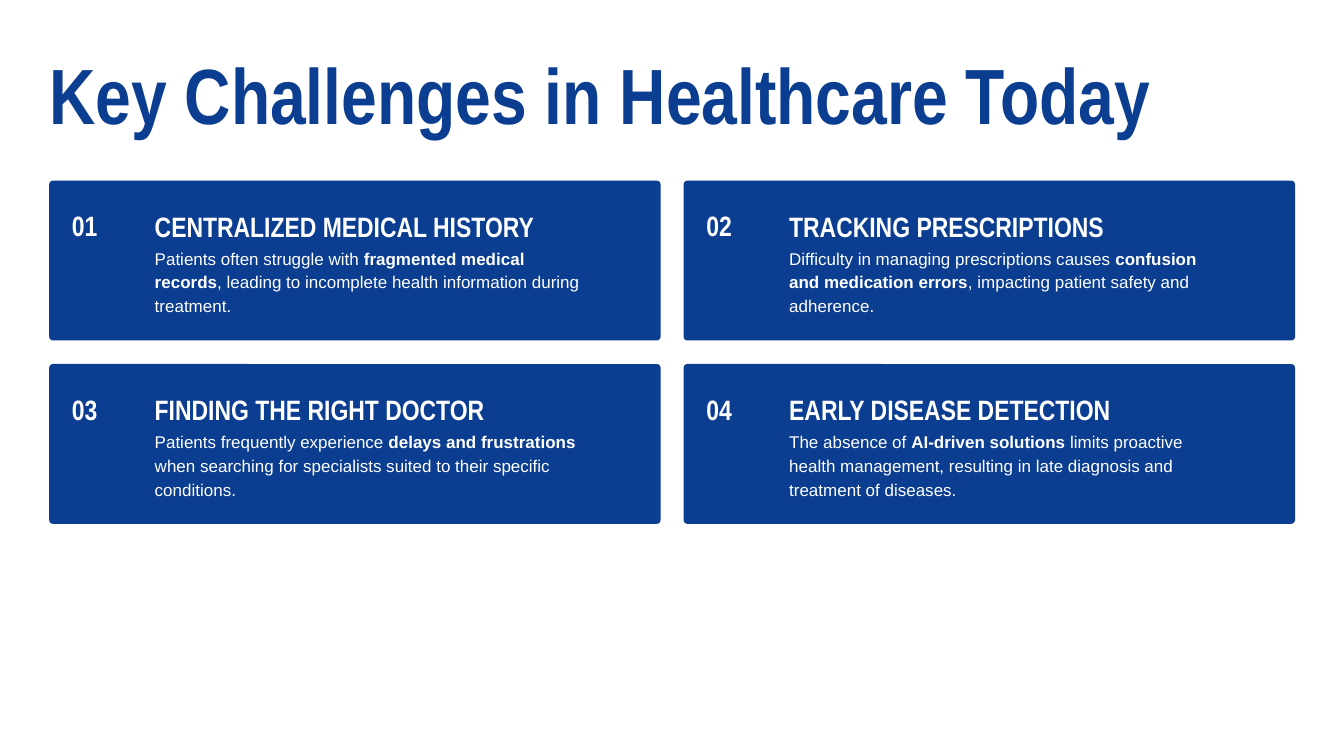
import dataclasses

import pptx
import pptx.dml.color
import pptx.enum.shapes
import pptx.enum.text
import pptx.slide
import pptx.text.text
import pptx.util
from pptx.util import Cm


@dataclasses.dataclass(frozen=True)
class TextStyle:
    font: str
    size: float
    line_height: float
    color: str
    bold: bool


@dataclasses.dataclass(frozen=True)
class Theme:
    blue: str = "0B3D91"
    title: TextStyle = TextStyle("Arial Narrow", 83.9, 83.9, "0B3D91", True)
    heading: TextStyle = TextStyle("Arial Narrow", 30, 42, "FFFFFF", True)
    body: TextStyle = TextStyle("Arial", 18.2, 25.5, "FFFFFF", False)


@dataclasses.dataclass(frozen=True)
class Challenge:
    heading: str
    before: str
    emphasis: str
    after: str


THEME = Theme()

CHALLENGES = [
    Challenge("CENTRALIZED MEDICAL HISTORY", "Patients often struggle with ",
              "fragmented medical records",
              ", leading to incomplete health information during treatment."),
    Challenge("TRACKING PRESCRIPTIONS", "Difficulty in managing prescriptions causes ",
              "confusion and medication errors",
              ", impacting patient safety and adherence."),
    Challenge("FINDING THE RIGHT DOCTOR", "Patients frequently experience ",
              "delays and frustrations",
              " when searching for specialists suited to their specific conditions."),
    Challenge("EARLY DISEASE DETECTION", "The absence of ", "AI-driven solutions",
              " limits proactive health management, resulting in late diagnosis"
              " and treatment of diseases."),
]

# Card grid, in centimetres
COLUMNS = 2
GRID_LEFT, GRID_TOP = 1.86, 6.83
CARD_WIDTH, CARD_HEIGHT = 23.11, 6.04
COLUMN_STEP, ROW_STEP = 23.98, 6.93
CORNER_RADIUS = 0.14
TEXT_INDENT, TEXT_WIDTH = 3.99, 16.59


def format_text(frame: pptx.text.text.TextFrame, style: TextStyle) -> None:
    """Remove the margins and style the single paragraph of a frame."""
    frame.margin_left = frame.margin_top = frame.margin_right = frame.margin_bottom = 0
    frame.word_wrap = True
    frame.auto_size = pptx.enum.text.MSO_AUTO_SIZE.NONE
    frame.vertical_anchor = pptx.enum.text.MSO_ANCHOR.TOP
    paragraph = frame.paragraphs[0]
    paragraph.alignment = pptx.enum.text.PP_ALIGN.LEFT
    paragraph.line_spacing = pptx.util.Pt(style.line_height)
    paragraph.font.name = style.font
    paragraph.font.size = pptx.util.Pt(style.size)
    paragraph.font.bold = style.bold
    paragraph.font.color.rgb = pptx.dml.color.RGBColor.from_string(style.color)


def add_text(slide: pptx.slide.Slide, left: float, top: float, width: float,
             height: float, style: TextStyle, *parts: str) -> pptx.text.text._Paragraph:
    """Add a text box with one run for each part."""
    box = slide.shapes.add_textbox(Cm(left), Cm(top), Cm(width), Cm(height))
    format_text(box.text_frame, style)
    paragraph = box.text_frame.paragraphs[0]
    for part in parts:
        paragraph.add_run().text = part
    return paragraph


def add_title(slide: pptx.slide.Slide, text: str) -> None:
    title = slide.shapes.title
    title.left, title.top = Cm(GRID_LEFT), Cm(2.34)
    title.width, title.height = Cm(47.09), Cm(3.05)
    title.text_frame.text = text
    format_text(title.text_frame, THEME.title)


def add_card(slide: pptx.slide.Slide, index: int, challenge: Challenge) -> None:
    row, column = divmod(index, COLUMNS)
    left = GRID_LEFT + column * COLUMN_STEP
    top = GRID_TOP + row * ROW_STEP

    # Background panel
    panel = slide.shapes.add_shape(
        pptx.enum.shapes.MSO_SHAPE.ROUNDED_RECTANGLE,
        Cm(left), Cm(top), Cm(CARD_WIDTH), Cm(CARD_HEIGHT))
    panel.adjustments[0] = CORNER_RADIUS / CARD_HEIGHT
    panel.shadow.inherit = False
    panel.fill.solid()
    panel.fill.fore_color.rgb = pptx.dml.color.RGBColor.from_string(THEME.blue)
    panel.line.fill.background()

    # Number, heading and description
    text_left = left + TEXT_INDENT
    add_text(slide, left + 0.86, top + 0.85, 2.29, 1.4, THEME.heading, f"{index + 1:02}")
    add_text(slide, text_left, top + 0.86, TEXT_WIDTH, 1.4, THEME.heading, challenge.heading)
    description = add_text(slide, text_left, top + 2.42, TEXT_WIDTH, 2.54, THEME.body,
                           challenge.before, challenge.emphasis, challenge.after)
    description.runs[1].font.bold = True


def main() -> None:
    presentation = pptx.Presentation()
    presentation.slide_width = Cm(50.8)
    presentation.slide_height = Cm(28.575)
    title_only = presentation.slide_layouts.get_by_name("Title Only")
    slide = presentation.slides.add_slide(title_only)

    add_title(slide, "Key Challenges in Healthcare Today")
    for index, challenge in enumerate(CHALLENGES):
        add_card(slide, index, challenge)

    presentation.save("out.pptx")


if __name__ == "__main__":
    main()
